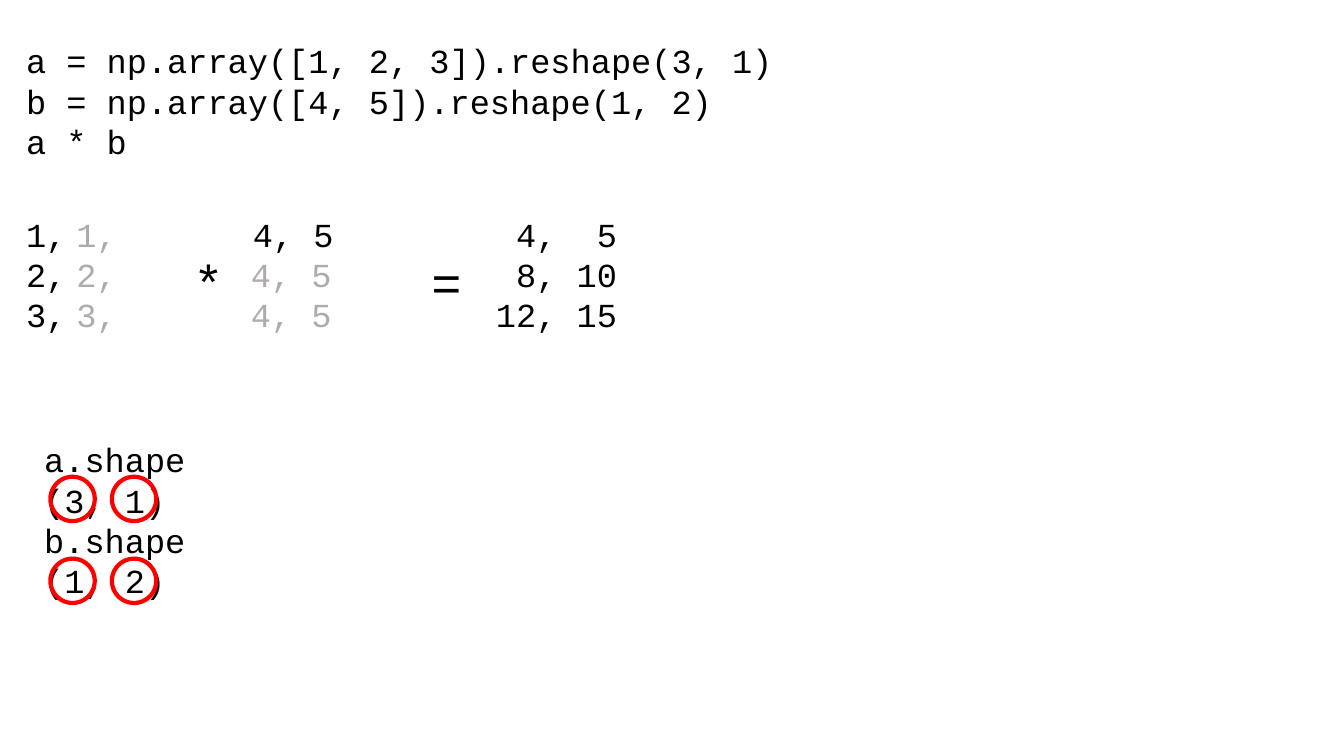
from itertools import product

from pptx import Presentation
from pptx.dml.color import RGBColor
from pptx.enum.shapes import MSO_SHAPE
from pptx.enum.text import MSO_AUTO_SIZE
from pptx.util import Inches, Pt

OVAL = MSO_SHAPE.OVAL
GROW = MSO_AUTO_SIZE.SHAPE_TO_FIT_TEXT

COLOURS = {"code": "000000", "broadcast": "AFABAB", "ring": "FF0000"}
CODE_FONT = "Courier New"
CODE_SIZE = 24
OPERATOR_SIZE = 36

LEFT, TOP = 0.16, 0.35
COLUMN, ROW = 0.2, 0.4
PADDING = 0.1
RING_COLUMNS = 2.2
MATRIX_ROW = 4.3
OPERATOR_ROW = 5.23


def across(column):
    return Inches(LEFT + column * COLUMN)


def down(row):
    return Inches(TOP + row * ROW)


def add_code(page, column, row, columns, lines, colour="code", size=CODE_SIZE):
    height = Inches(len(lines) * ROW * size / CODE_SIZE + PADDING)
    box = page.shapes.add_textbox(
        across(column), down(row), Inches(columns * COLUMN), height)
    frame = box.text_frame
    frame.word_wrap = True
    frame.auto_size = GROW
    for index, line in enumerate(lines):
        para = frame.add_paragraph() if index else frame.paragraphs[0]
        span = para.add_run()
        span.text = line
        span.font.name = CODE_FONT
        span.font.size = Pt(size)
        span.font.color.rgb = RGBColor.from_string(COLOURS[colour])


def add_operator(page, column, symbol):
    add_code(page, column, OPERATOR_ROW, 2.4, [symbol], size=OPERATOR_SIZE)


def add_ring(page, column, row):
    side = Inches(RING_COLUMNS * COLUMN)
    ring = page.shapes.add_shape(OVAL, across(column), down(row), side, side)
    ring.shadow.inherit = False
    ring.fill.background()
    ring.line.color.rgb = RGBColor.from_string(COLOURS["ring"])
    ring.line.width = Pt(3)


def add_product(page):
    column_vector = ["1, 2, 3,"]
    row_vector = ["4, 5"]
    add_code(page, 0, MATRIX_ROW, 3.05, column_vector)
    add_code(page, 2.5, MATRIX_ROW, 3.1, column_vector, "broadcast")
    add_operator(page, 8.3, "*")
    add_code(page, 11.25, MATRIX_ROW, 5.65, row_vector)
    for step in (1, 2):
        add_code(page, 11.15, MATRIX_ROW + step, 5.65, row_vector, "broadcast")
    add_operator(page, 20.1, "=")
    add_code(page, 23.3, MATRIX_ROW, 8.55, [" 4,  5", " 8, 10", "12, 15"])


def add_shapes_check(page):
    add_code(page, 0.9, 9.9, 11.2, ["a.shape", "(3, 1)", "b.shape", "(1, 2)"])
    for column, row in product((1.7, 4.75), (10.95, 12.98)):
        add_ring(page, column, row)


def main():
    deck = Presentation()
    deck.slide_width = Inches(13.33)
    deck.slide_height = Inches(7.5)
    page = deck.slides.add_slide(deck.slide_layouts[6])
    add_code(page, 0, 0, 42.85, [
        "a = np.array([1, 2, 3]).reshape(3, 1)",
        "b = np.array([4, 5]).reshape(1, 2)",
        "a * b",
    ])
    add_product(page)
    add_shapes_check(page)
    deck.save("out.pptx")


if __name__ == "__main__":
    main()
